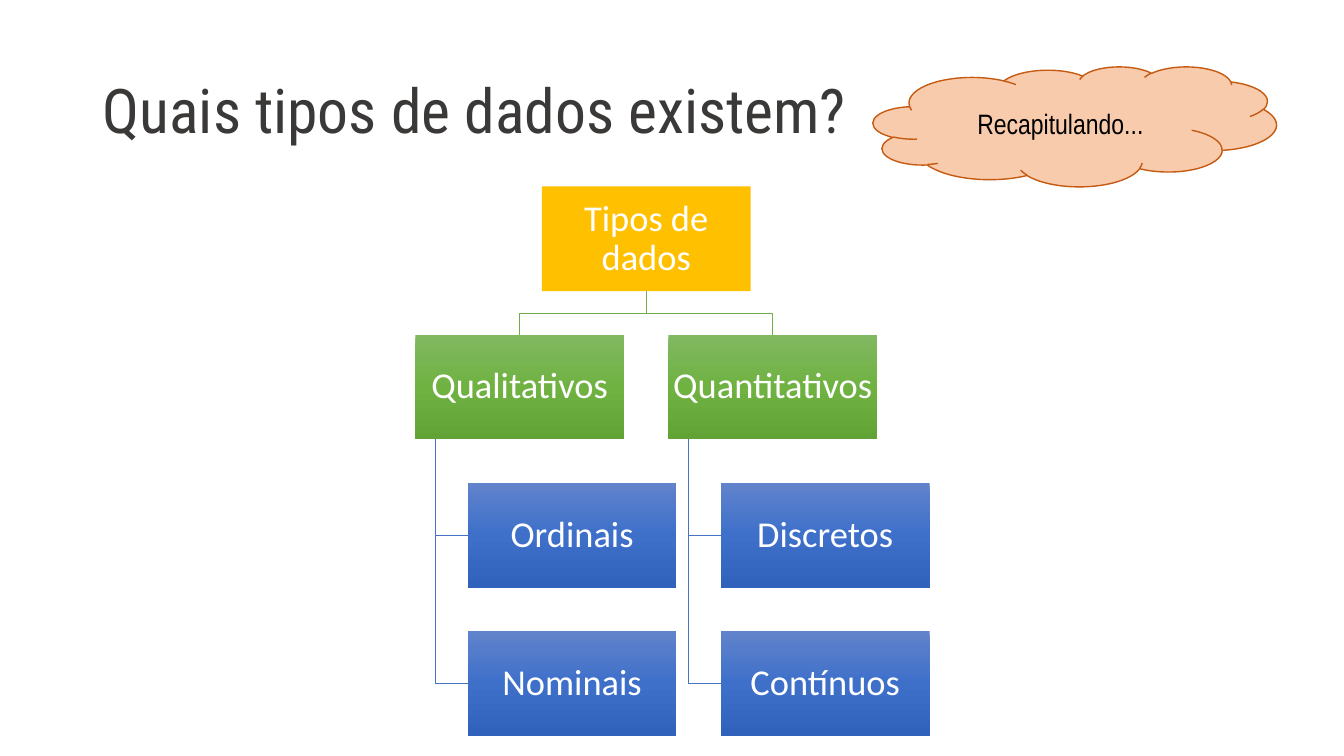
"""Build a slide with a tree of data types and a recap cloud."""
import copy
from dataclasses import dataclass

import pptx
import pptx.dml.color
import pptx.enum.shapes
import pptx.enum.text
import pptx.oxml.ns
import pptx.util

Inches = pptx.util.Inches

COLORS = {
    "title": "3B3838", "white": "FFFFFF", "black": "000000", "root": "FFC000",
    "cloud": "F8CBAD", "cloud_line": "C55A11",
    "branch_line": "70AD47", "leaf_line": "4472C4",
}
GRADIENTS = {
    "branch": ("81B861", "6FB242", "62A336"),
    "leaf": ("6183CB", "3E70CA", "3062BB"),
}
BOX_WIDTH, BOX_HEIGHT = 2.07, 1.04
TREE_LEFT, TREE_TOP = 4.12, 1.85
COLUMN_STEP, ROW_STEP = 2.51, 1.47
LEAF_INDENT, TRUNK_INDENT = 0.52, 0.2


@dataclass(frozen=True)
class TextStyle:
    size: int
    font: str
    color: str
    align: str = "CENTER"
    line_spacing: float = 1.0
    margin_x: float = 0.1
    margin_y: float = 0.05


@dataclass(frozen=True)
class Branch:
    label: str
    leaves: tuple[str, ...]


TITLE_STYLE = TextStyle(44, "Roboto Condensed", "title", "LEFT", 0.9)
BOX_STYLE = TextStyle(26, "Calibri", "white", "CENTER", 0.9, 0.02, 0.02)
CLOUD_STYLE = TextStyle(20, "Arial Narrow", "black")
BRANCHES = (
    Branch("Qualitativos", ("Ordinais", "Nominais")),
    Branch("Quantitativos", ("Discretos", "Contínuos")),
)


def rgb(value: str) -> pptx.dml.color.RGBColor:
    return pptx.dml.color.RGBColor.from_string(value)


def set_attributes(target: object, values: dict[str, object]) -> None:
    for name, value in values.items():
        setattr(target, name, value)


def write_text(shape, text: str, style: TextStyle) -> None:
    frame = shape.text_frame
    set_attributes(frame, {
        "word_wrap": True,
        "vertical_anchor": pptx.enum.text.MSO_ANCHOR.MIDDLE,
        "margin_left": Inches(style.margin_x),
        "margin_right": Inches(style.margin_x),
        "margin_top": Inches(style.margin_y),
        "margin_bottom": Inches(style.margin_y),
    })
    paragraph = frame.paragraphs[0]
    set_attributes(paragraph, {
        "text": text,
        "alignment": pptx.enum.text.PP_ALIGN[style.align],
        "line_spacing": style.line_spacing,
    })
    font = paragraph.runs[0].font
    set_attributes(font, {"name": style.font, "size": pptx.util.Pt(style.size)})
    font.color.rgb = rgb(COLORS[style.color])


def fill_solid(shape, color: str) -> None:
    shape.fill.solid()
    shape.fill.fore_color.rgb = rgb(COLORS[color])


def fill_gradient(shape, colors: tuple[str, ...]) -> None:
    shape.fill.gradient()
    shape.fill.gradient_angle = 270
    stop_list = shape._element.spPr.find(".//" + pptx.oxml.ns.qn("a:gsLst"))
    stop_list.insert(1, copy.deepcopy(stop_list[0]))
    for index, (stop, color) in enumerate(zip(shape.fill.gradient_stops, colors)):
        stop.position = index / (len(colors) - 1)
        stop.color.rgb = rgb(color)


def draw_line(slide, points: list[tuple[float, float]], color: str) -> None:
    start, *others = [(Inches(x), Inches(y)) for x, y in points]
    builder = slide.shapes.build_freeform(*start)
    builder.add_line_segments(others, close=False)
    shape = builder.convert_to_shape()
    shape.shadow.inherit = False
    shape.fill.background()
    shape.line.color.rgb = rgb(COLORS[color])
    shape.line.width = pptx.util.Pt(0.5)


def draw_box(slide, left: float, top: float, text: str, kind: str) -> None:
    shape = slide.shapes.add_shape(
        pptx.enum.shapes.MSO_SHAPE.RECTANGLE,
        Inches(left), Inches(top), Inches(BOX_WIDTH), Inches(BOX_HEIGHT))
    shape.shadow.inherit = False
    shape.line.fill.background()
    if kind in GRADIENTS:
        fill_gradient(shape, GRADIENTS[kind])
    else:
        fill_solid(shape, kind)
    write_text(shape, text, BOX_STYLE)


def draw_branch(slide, branch: Branch, left: float, root_center: float) -> None:
    top = TREE_TOP + ROW_STEP
    center = left + BOX_WIDTH / 2
    root_bottom = TREE_TOP + BOX_HEIGHT
    middle = (root_bottom + top) / 2
    draw_line(slide, [(root_center, root_bottom), (root_center, middle),
                      (center, middle), (center, top)], "branch_line")
    draw_box(slide, left, top, branch.label, "branch")
    trunk, leaf_left = left + TRUNK_INDENT, left + LEAF_INDENT
    for row, leaf in enumerate(branch.leaves, start=1):
        leaf_top = top + row * ROW_STEP
        leaf_middle = leaf_top + BOX_HEIGHT / 2
        draw_line(slide, [(trunk, top + BOX_HEIGHT), (trunk, leaf_middle),
                          (leaf_left, leaf_middle)], "leaf_line")
        draw_box(slide, leaf_left, leaf_top, leaf, "leaf")


def draw_tree(slide) -> None:
    root_left = TREE_LEFT + COLUMN_STEP * (len(BRANCHES) - 1) / 2
    for column, branch in enumerate(BRANCHES):
        draw_branch(slide, branch, TREE_LEFT + column * COLUMN_STEP,
                    root_left + BOX_WIDTH / 2)
    draw_box(slide, root_left, TREE_TOP, "Tipos de dados", "root")


def draw_cloud(slide) -> None:
    cloud = slide.shapes.add_shape(
        pptx.enum.shapes.MSO_SHAPE.CLOUD,
        Inches(8.66), Inches(0.66), Inches(4), Inches(1.19))
    cloud.shadow.inherit = False
    fill_solid(cloud, "cloud")
    cloud.line.color.rgb = rgb(COLORS["cloud_line"])
    cloud.line.width = pptx.util.Pt(1)
    write_text(cloud, "Recapitulando...", CLOUD_STYLE)


def main() -> None:
    presentation = pptx.Presentation()
    set_attributes(presentation, {
        "slide_width": Inches(13.33), "slide_height": Inches(7.5)})
    slide = presentation.slides.add_slide(presentation.slide_layouts[6])
    title = slide.shapes.add_textbox(
        Inches(0.92), Inches(0.4), Inches(11.5), Inches(1.45))
    write_text(title, "Quais tipos de dados existem?", TITLE_STYLE)
    draw_tree(slide)
    draw_cloud(slide)
    presentation.save("out.pptx")


if __name__ == "__main__":
    main()
